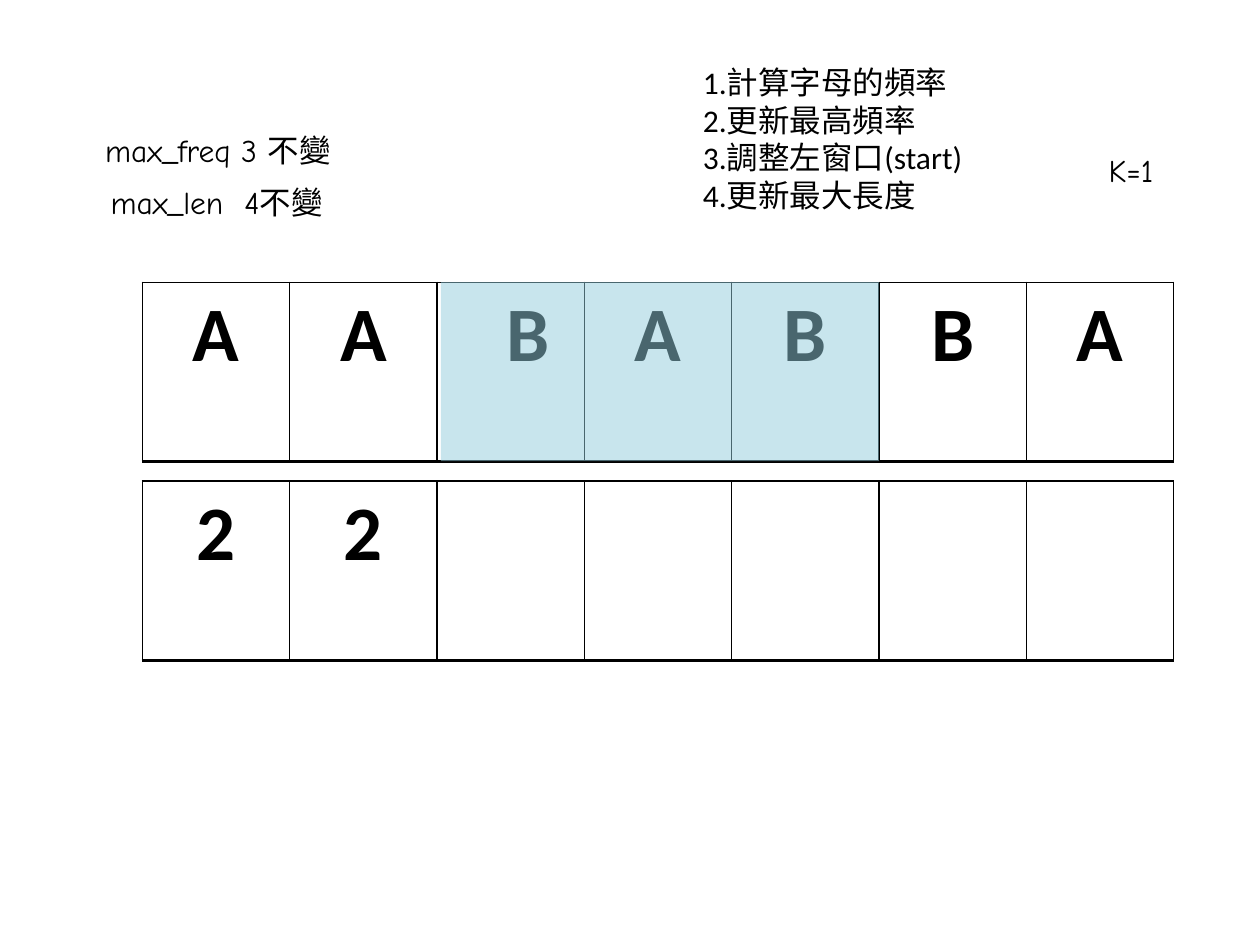
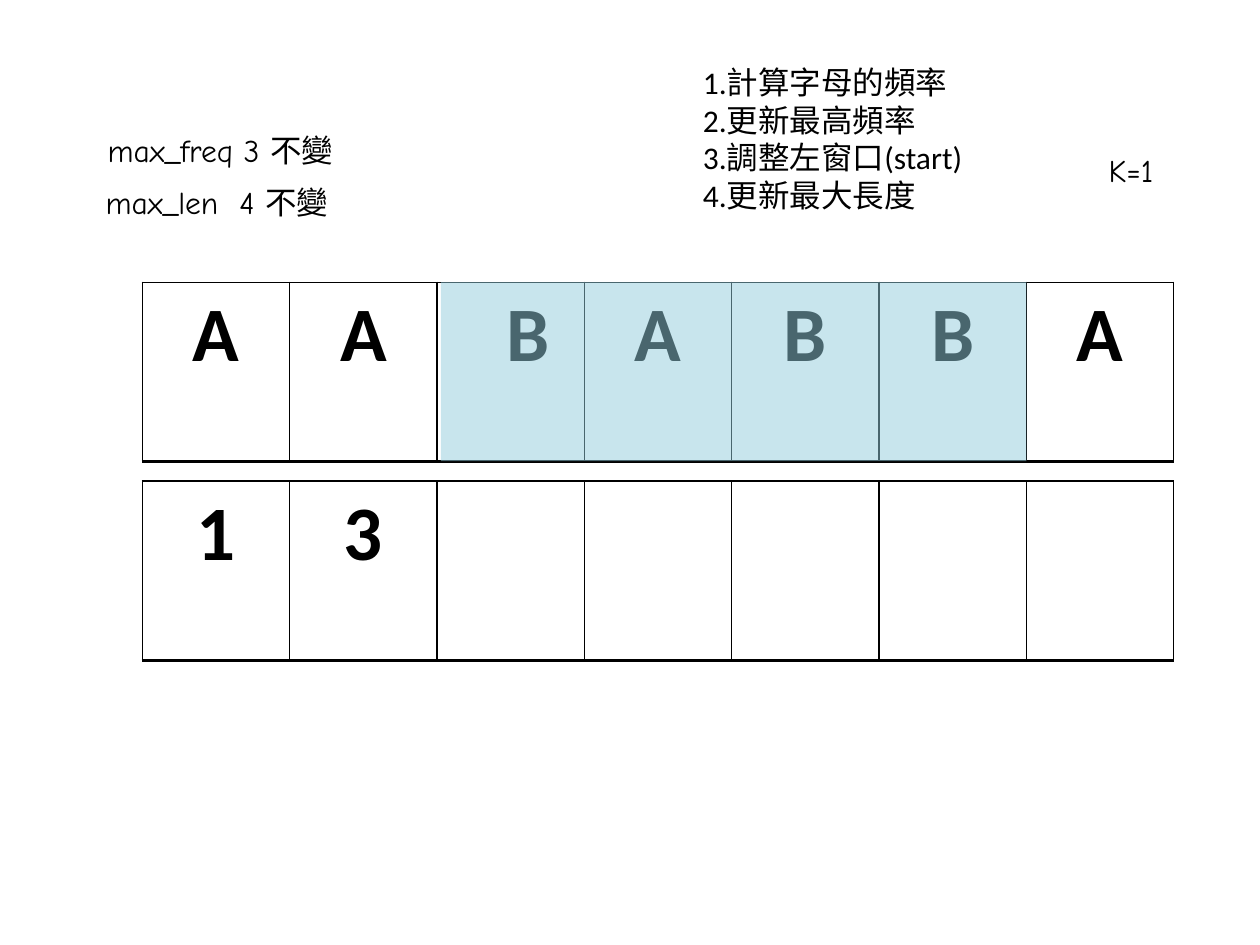
from lxml import etree
from pptx import Presentation
from pptx.dml.color import RGBColor
from pptx.enum.shapes import MSO_SHAPE
from pptx.enum.text import MSO_AUTO_SIZE, PP_ALIGN
from pptx.oxml.ns import qn
from pptx.util import Cm, Pt

RECT = MSO_SHAPE.RECTANGLE
CENTER, LEFT = PP_ALIGN.CENTER, PP_ALIGN.LEFT
GROW = MSO_AUTO_SIZE.SHAPE_TO_FIT_TEXT

COLORS = {"ink": "000000", "window": "93CDDD"}
FORMATS = {
    "cell": {"name": "Calibri", "size": Pt(44), "bold": True},
    "note": {"name": "Comic Neue", "size": Pt(18)},
    "steps": {"name": "Calibri", "size": Pt(18)},
}
BORDERS = {"lnL": 1, "lnR": 1, "lnT": 1, "lnB": 2}

LETTERS = "AABABBA"
STEPS = ["1.計算字母的頻率", "2.更新最高頻率", "3.調整左窗口(start)", "4.更新最大長度"]
GRID_LEFT, COL_W, ROW_H = 2.87, 2.97, 3.61
LETTERS_TOP, COUNTS_TOP = 5.69, 9.7
WINDOW_START, WINDOW_LEFT = 2, 8.89


class Deck:
    def __init__(self):
        self.prs = Presentation()
        self.prs.slide_width, self.prs.slide_height = Cm(25.4), Cm(19.05)
        self.s = None

    def new_slide(self):
        self.s = self.prs.slides.add_slide(self.prs.slide_layouts[6])

    def add_line(self, p, text, style, align):
        p.alignment = align
        r = p.add_run()
        r.text = text
        for key, value in FORMATS[style].items():
            setattr(r.font, key, value)
        r.font.color.rgb = RGBColor.from_string(COLORS["ink"])

    def text(self, x, y, w, h, lines, style="note", align=LEFT, wrap=False):
        tf = self.s.shapes.add_textbox(Cm(x), Cm(y), Cm(w), Cm(h)).text_frame
        tf.word_wrap = wrap
        tf.auto_size = GROW
        for i, line in enumerate(lines):
            p = tf.add_paragraph() if i else tf.paragraphs[0]
            self.add_line(p, line, style, align)

    def border(self, cell):
        tc_pr = cell._tc.get_or_add_tcPr()
        for side, width in BORDERS.items():
            ln = etree.SubElement(tc_pr, qn(f"a:{side}"), w=str(Pt(width)))
            fill = etree.SubElement(ln, qn("a:solidFill"))
            etree.SubElement(fill, qn("a:srgbClr"), val=COLORS["ink"])

    def row(self, y, values):
        n = len(LETTERS)
        frame = self.s.shapes.add_table(
            1, n, Cm(GRID_LEFT), Cm(y), Cm(n * COL_W), Cm(ROW_H))
        table = frame.table
        table.first_row = table.horz_banding = False
        for i, cell in enumerate(table.iter_cells()):
            table.columns[i].width = Cm(COL_W)
            self.border(cell)
            cell.fill.background()
            if i < len(values):
                self.add_line(cell.text_frame.paragraphs[0], values[i], "cell", CENTER)
        return table

    def window(self, end):
        right = GRID_LEFT + end * COL_W
        sp = self.s.shapes.add_shape(
            RECT, Cm(WINDOW_LEFT), Cm(LETTERS_TOP), Cm(right - WINDOW_LEFT), Cm(ROW_H))
        sp.shadow.inherit = False
        sp.line.fill.background()
        sp.fill.solid()
        sp.fill.fore_color.rgb = RGBColor.from_string(COLORS["window"])
        color = sp._element.spPr.find(qn("a:solidFill"))[0]
        etree.SubElement(color, qn("a:alpha"), val="50000")

    def step(self, window_end, counts, freq_x, length_text, length_x, length_w):
        self.new_slide()
        letters = self.row(LETTERS_TOP, LETTERS)
        letters.cell(0, WINDOW_START).margin_left = Cm(0.95)
        self.window(window_end)
        self.row(COUNTS_TOP, counts)
        self.text(freq_x, 2.51, 5.49, 1.02, ["max_freq 3 不變"], align=CENTER)
        self.text(length_x, 3.56, length_w, 1.8, [length_text])
        self.text(22.1, 2.92, 1.52, 1.02, ["K=1"])
        self.text(13.92, 1.14, 5.79, 3.33, STEPS, "steps", wrap=True)


deck = Deck()
deck.step(5, "22", 1.65, "max_len  4不變", 1.98, 5.03)
deck.step(6, "13", 1.7, "max_len  4 不變", 1.88, 5.23)
deck.prs.save("out.pptx")
